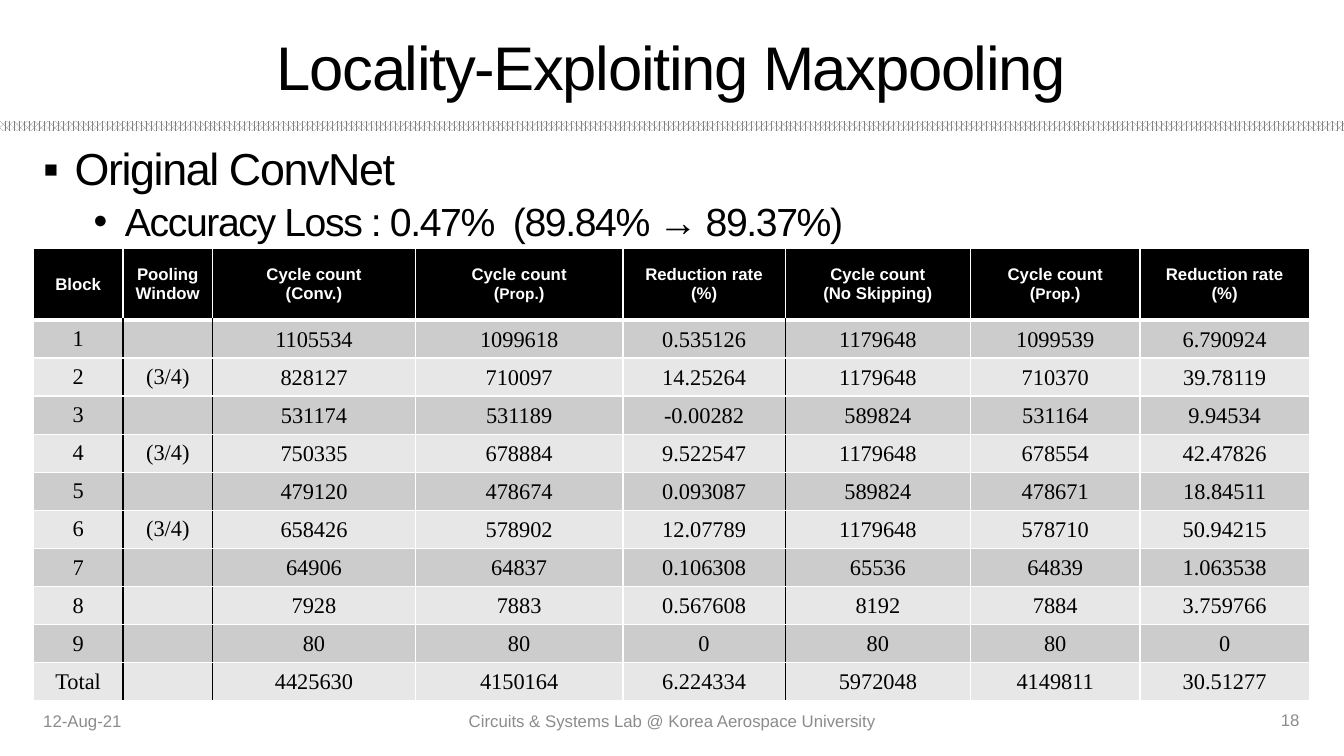
"""Build the slide on locality-exploiting maxpooling."""
import dataclasses

import pptx
import pptx.dml.color
import pptx.enum.dml
import pptx.enum.shapes
import pptx.enum.text
import pptx.oxml
import pptx.oxml.ns
import pptx.slide
import pptx.table
import pptx.text.text
import pptx.util

Cm = pptx.util.Cm
Pt = pptx.util.Pt
RGBColor = pptx.dml.color.RGBColor
ALIGN = pptx.enum.text.PP_ALIGN
MIDDLE = pptx.enum.text.MSO_ANCHOR.MIDDLE

BLACK = RGBColor(0x00, 0x00, 0x00)
WHITE = RGBColor(0xFF, 0xFF, 0xFF)
GRAY = RGBColor(0x80, 0x80, 0x80)
MUTED = RGBColor(0x8C, 0x8C, 0x8C)
BANDS = (RGBColor(0xCC, 0xCC, 0xCC), RGBColor(0xE7, 0xE7, 0xE7))

LEFT = 0.84
WIDTHS = (2.26, 2.26, 5.11, 5.23, 4.09, 4.67, 4.27, 4.27)
HEAD_HIGH = 1.8
ROW_HIGH = 0.96
DARK_EDGES = (1, 2, 5)

HEADS = ("Block", "Pooling\nWindow", "Cycle count\n(Conv.)", "Cycle count\n(Prop.)",
         "Reduction rate\n(%)", "Cycle count\n(No Skipping)", "Cycle count\n(Prop.)",
         "Reduction rate\n(%)")
ROWS = (
    ("1", "", "1105534", "1099618", "0.535126", "1179648", "1099539", "6.790924"),
    ("2", "(3/4)", "828127", "710097", "14.25264", "1179648", "710370", "39.78119"),
    ("3", "", "531174", "531189", "-0.00282", "589824", "531164", "9.94534"),
    ("4", "(3/4)", "750335", "678884", "9.522547", "1179648", "678554", "42.47826"),
    ("5", "", "479120", "478674", "0.093087", "589824", "478671", "18.84511"),
    ("6", "(3/4)", "658426", "578902", "12.07789", "1179648", "578710", "50.94215"),
    ("7", "", "64906", "64837", "0.106308", "65536", "64839", "1.063538"),
    ("8", "", "7928", "7883", "0.567608", "8192", "7884", "3.759766"),
    ("9", "", "80", "80", "0", "80", "80", "0"),
    ("Total", "", "4425630", "4150164", "6.224334", "5972048", "4149811", "30.51277"),
)


@dataclasses.dataclass(frozen=True)
class Line:
    """One line of text with its look."""
    text: str
    size: int
    color: RGBColor = BLACK
    align: ALIGN = ALIGN.LEFT
    track: int = 0
    mark: str = ""
    indent: float = 0
    before: int = 0


@dataclasses.dataclass(frozen=True)
class Box:
    """A text box, measured in centimetres."""
    left: float
    top: float
    width: float
    height: float
    lines: tuple[Line, ...]
    anchor: pptx.enum.text.MSO_ANCHOR = MIDDLE


BOXES = (
    Box(LEFT, 3.58, 32.16, 13.59, (
        Line("Original ConvNet", 32, track=-100, mark="▪", indent=0.79, before=10),
        Line("Accuracy Loss : 0.47%  (89.84% → 89.37%)", 28, track=-100, mark="•",
             indent=2.06, before=5),
    ), pptx.enum.text.MSO_ANCHOR.TOP),
    Box(LEFT, 17.65, 7.62, 1.02, (Line("12-Aug-21", 12, MUTED),)),
    Box(11.23, 17.65, 11.43, 1.02, (
        Line("Circuits & Systems Lab @ Korea Aerospace University", 12, MUTED, ALIGN.CENTER),)),
    Box(25.27, 17.63, 7.73, 1.02, (Line("18", 12, MUTED, ALIGN.RIGHT),)),
    Box(LEFT, 0.56, 32.16, 2.21, (
        Line("Locality-Exploiting Maxpooling", 44, align=ALIGN.CENTER, track=-100),)),
)


def node(tag: str, body: str = "", **attrs: object):
    """Make a drawing element from its tag, content and attributes."""
    extra = "".join(f' {key}="{val}"' for key, val in attrs.items())
    space = pptx.oxml.ns.nsdecls("a")
    return pptx.oxml.parse_xml(f"<a:{tag} {space}{extra}>{body}</a:{tag}>")


def style(para: pptx.text.text._Paragraph, size: int, color: RGBColor,
          name: str = "Arial", bold: bool = False) -> None:
    """Set the font of a paragraph."""
    font = para.font
    font.name, font.size, font.bold = name, Pt(size), bold
    font.color.rgb = color


def write(para: pptx.text.text._Paragraph, line: Line) -> None:
    """Fill a paragraph with one line."""
    run = para.add_run()
    run.text = line.text
    para.alignment = line.align
    if line.track:
        run._r.get_or_add_rPr().set("spc", str(line.track))
    if line.mark:
        para.line_spacing = 0.9
        para.space_before = Pt(line.before)
        props = para._p.get_or_add_pPr()
        props.set("marL", str(Cm(line.indent)))
        props.set("indent", str(-Cm(0.79)))
        props.append(node("buFont", typeface="Arial"))
        props.append(node("buChar", char=line.mark))
    style(para, line.size, line.color)


def draw_box(slide: pptx.slide.Slide, box: Box) -> None:
    """Draw a text box."""
    frame = slide.shapes.add_textbox(
        Cm(box.left), Cm(box.top), Cm(box.width), Cm(box.height)).text_frame
    frame.word_wrap = True
    frame.vertical_anchor = box.anchor
    for i, line in enumerate(box.lines):
        write(frame.add_paragraph() if i else frame.paragraphs[0], line)


def draw_rule(slide: pptx.slide.Slide, width: int) -> None:
    """Draw the dotted band under the title."""
    band = slide.shapes.add_shape(
        pptx.enum.shapes.MSO_SHAPE.RECTANGLE, 0, Cm(3.05), width, Cm(0.25))
    band.shadow.inherit = False
    band.line.fill.background()
    band.fill.patterned()
    band.fill.pattern = pptx.enum.dml.MSO_PATTERN.PERCENT_70
    band.fill.fore_color.rgb = GRAY
    band.fill.back_color.rgb = WHITE


def edge(cell: pptx.table._Cell, row: int, col: int) -> None:
    """Set the four borders of a cell."""
    sides = (("lnL", row and col in DARK_EDGES, 1),
             ("lnR", row and col + 1 in DARK_EDGES, 1),
             ("lnT", False, 3 if row == 1 else 1),
             ("lnB", False, 1 if row else 3))
    props = cell._tc.get_or_add_tcPr()
    for i, (tag, dark, size) in enumerate(sides):
        tint = f'<a:solidFill><a:srgbClr val="{BLACK if dark else WHITE}"/></a:solidFill>'
        props.insert(i, node(tag, tint, w=Pt(size)))


def fill_cell(cell: pptx.table._Cell, text: str, row: int, col: int) -> None:
    """Write and colour one table cell."""
    cell.vertical_anchor = MIDDLE
    cell.fill.solid()
    cell.fill.fore_color.rgb = BANDS[(row - 1) % 2] if row else BLACK
    if row and (col > 1 or not text):
        cell.margin_left = cell.margin_right = cell.margin_top = Cm(0.03)
        cell.margin_bottom = 0
    cell.text = text
    for para in cell.text_frame.paragraphs:
        para.alignment = ALIGN.CENTER
        if row:
            style(para, 16, BLACK, "Times New Roman")
            continue
        style(para, 12, WHITE, bold=True)
        if para.text == "(Prop.)":
            para.runs[0].text = "("
            for part in ("Prop.", ")"):
                para.add_run().text = part
            para.runs[1].font.size = Pt(11)
    edge(cell, row, col)


def draw_table(slide: pptx.slide.Slide) -> None:
    """Draw the table of cycle counts."""
    data = (HEADS, *ROWS)
    high = HEAD_HIGH + ROW_HIGH * len(ROWS)
    table = slide.shapes.add_table(
        len(data), len(WIDTHS), Cm(LEFT), Cm(6.26), Cm(sum(WIDTHS)), Cm(high)).table
    for col, width in zip(table.columns, WIDTHS):
        col.width = Cm(width)
    for i, texts in enumerate(data):
        table.rows[i].height = Cm(ROW_HIGH if i else HEAD_HIGH)
        for j, text in enumerate(texts):
            fill_cell(table.cell(i, j), text, i, j)


def main() -> None:
    """Build and save the slide."""
    deck = pptx.Presentation()
    deck.slide_width, deck.slide_height = Cm(33.87), Cm(19.05)
    slide = deck.slides.add_slide(deck.slide_layouts[6])
    draw_rule(slide, deck.slide_width)
    for box in BOXES:
        draw_box(slide, box)
    draw_table(slide)
    deck.save("out.pptx")


if __name__ == "__main__":
    main()
